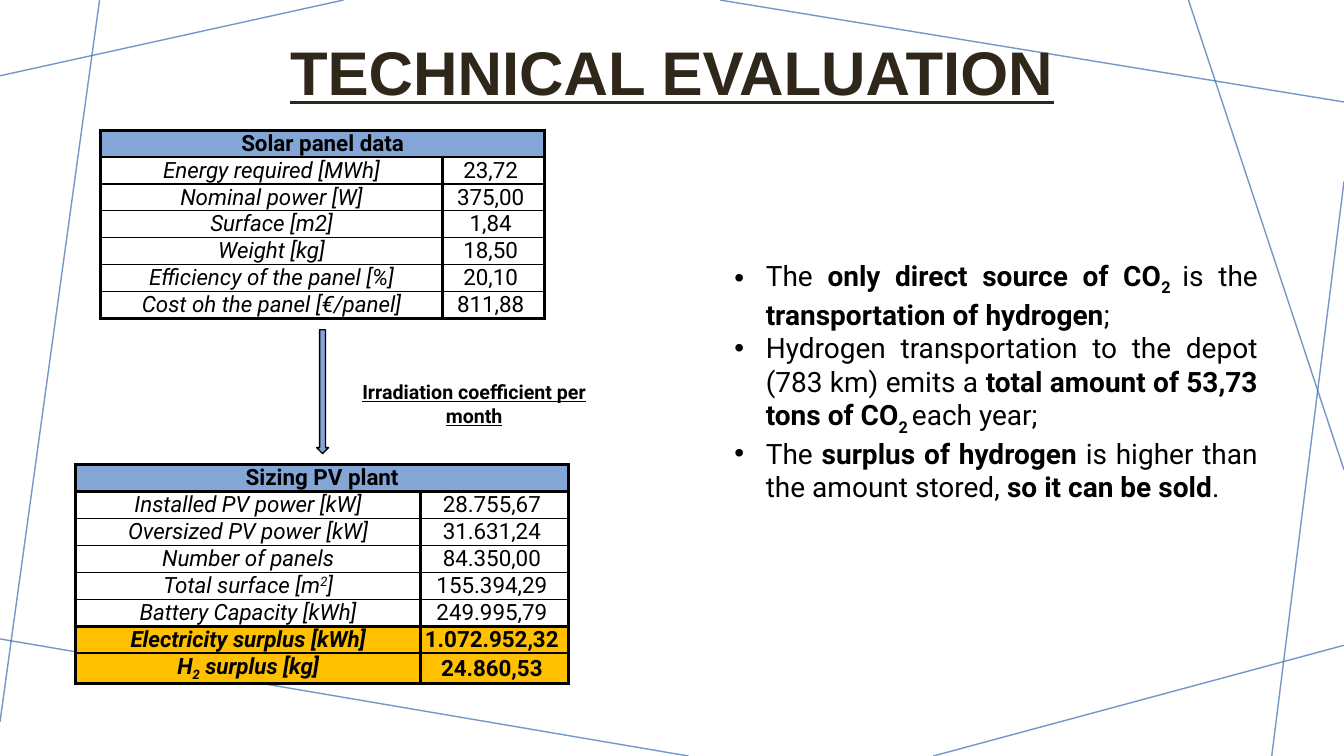
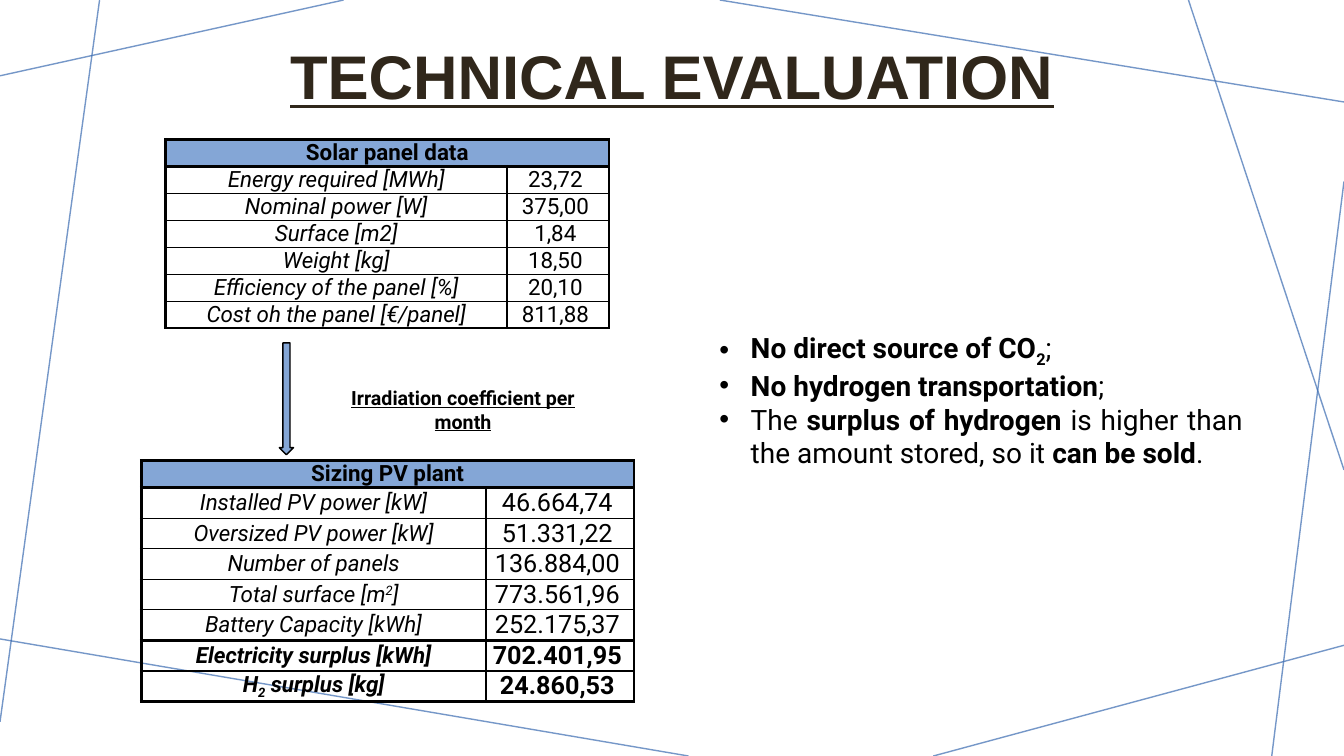
from dataclasses import dataclass

from lxml import etree
from pptx import Presentation
from pptx import util as u
from pptx.dml.color import RGBColor
from pptx.enum import shapes, text
from pptx.oxml import ns


@dataclass(frozen=True)
class Theme:
    ink = RGBColor.from_string("000000")
    title_ink = RGBColor.from_string("30271B")
    blue = RGBColor.from_string("84A6D6")
    amber = RGBColor.from_string("FFC000")
    network = RGBColor.from_string("3B6CB1")
    network_alpha = 70
    title_font = "Arial"
    body_font = "Roboto"
    title_size = 44
    bullet_size = 20
    caption_size = 14
    cell_size = 16
    large_cell_size = 18
    thin = 1
    thick = 2.25
    plain_table = "{2D5ABB26-0587-4C30-8999-92F81FD0307C}"


THEME = Theme()
SLIDE_WIDTH, SLIDE_HEIGHT = 33.87, 19.05
NETWORK_LINES = [
    (8.66, 0, 0, 1.91),
    (2.51, 0, 0, 18.19),
    (17.35, SLIDE_HEIGHT, 0, 16.1),
    (SLIDE_WIDTH, 16.26, 23.52, SLIDE_HEIGHT),
    (SLIDE_WIDTH, 4.57, 32.05, SLIDE_HEIGHT),
    (SLIDE_WIDTH, 11.84, 29.95, 0),
    (SLIDE_WIDTH, 2.57, 18.14, 0),
]
PANEL_ROWS = [
    ("Energy required [MWh]", "23,72"),
    ("Nominal power [W]", "375,00"),
    ("Surface [m2]", "1,84"),
    ("Weight [kg]", "18,50"),
    ("Efficiency of the panel [%]", "20,10"),
    ("Cost oh the panel [€/panel]", "811,88"),
]
PLANT_LABELS = [
    "Installed PV power [kW]", "Oversized PV power [kW]", "Number of panels",
    "Total surface [m^2^]", "Battery Capacity [kWh]",
    "Electricity surplus [kWh]", "H_2_ surplus [kg]",
]
SURPLUS_ROWS = 2
PANEL_COLUMNS = (8.61, 2.57)
PLANT_COLUMNS = (8.69, 3.73)
HEADER_HEIGHT = 0.66

SCENARIOS = [
    {
        "title_box": (3.18, 0.64, 27.51, 2.54),
        "panel_at": (2.54, 3.28),
        "panel_row": 0.66,
        "plant_at": (1.91, 11.71),
        "plant_row": 0.66,
        "plant_values": ["28.755,67", "31.631,24", "84.350,00", "155.394,29",
                         "249.995,79", "1.072.952,32", "24.860,53"],
        "value_size": THEME.cell_size,
        "surplus_fill": THEME.amber,
        "arrow_box": (7.98, 8.31, 0.3, 3.12),
        "caption_box": (8.28, 9.45, 7.34, 0.86),
        "findings_box": (18.26, 6.4, 13.69, 6.25),
        "findings": [
            "The *only direct source of CO_2 _*is the *transportation of hydrogen*;",
            "Hydrogen transportation to the depot (783 km) emits a "
            "*total amount of 53,73 tons of CO_2 _*each year;",
            "The *surplus of hydrogen *is higher than the amount stored, "
            "*so it can be sold*.",
        ],
    },
    {
        "title_box": (3.18, 0.91, 27.51, 2.21),
        "panel_at": (4.17, 3.51),
        "panel_row": 0.68,
        "plant_at": (3.56, 11.61),
        "plant_row": 0.77,
        "plant_values": ["46.664,74", "51.331,22", "136.884,00", "773.561,96",
                         "252.175,37", "702.401,95", "24.860,53"],
        "value_size": THEME.large_cell_size,
        "surplus_fill": None,
        "arrow_box": (7.04, 8.64, 0.36, 2.82),
        "caption_box": (8, 9.6, 7.34, 0.86),
        "findings_box": (17.88, 8.2, 13.69, 3.68),
        "findings": [
            "*No direct source of CO_2_*;",
            "*No hydrogen transportation*;",
            "The *surplus of hydrogen *is higher than the amount stored, so it "
            "*can be sold*.",
        ],
    },
]


def lengths(values):
    return [u.Cm(value) for value in values]


def apply_format(target, formats):
    for name, value in formats.items():
        setattr(target, name, value)


def font_format(size, **extra):
    return {"name": THEME.body_font, "size": u.Pt(size), **extra}


def split_markup(markup):
    """Yield (piece, bold, baseline): * marks bold, _ subscript, ^ superscript."""
    for i, weighted in enumerate(markup.split("*")):
        for j, lowered in enumerate(weighted.split("_")):
            for k, piece in enumerate(lowered.split("^")):
                if piece:
                    yield piece, i % 2 == 1, -25 if j % 2 else 30 if k % 2 else 0


def write(paragraph, markup, formats, align=text.PP_ALIGN.CENTER, color=THEME.ink):
    paragraph.alignment = align
    for piece, bold, baseline in split_markup(markup):
        run = paragraph.add_run()
        run.text = piece
        apply_format(run.font, {"bold": bold, **formats})
        run.font.color.rgb = color
        if baseline:
            run._r.get_or_add_rPr().set("baseline", str(baseline * 1000))


def add_text_frame(slide, box):
    frame = slide.shapes.add_textbox(*lengths(box)).text_frame
    frame.word_wrap = True
    return frame


def add_network(slide):
    for ends in NETWORK_LINES:
        connector = slide.shapes.add_connector(
            shapes.MSO_CONNECTOR.STRAIGHT, *lengths(ends))
        connector.line.color.rgb = THEME.network
        connector.line.width = u.Pt(THEME.thin)
        properties = connector.element.spPr
        tint = next(properties.iter(ns.qn("a:srgbClr")))
        etree.SubElement(tint, ns.qn("a:alpha"), val=str(THEME.network_alpha * 1000))
        etree.SubElement(properties, ns.qn("a:effectLst"))


def add_title(slide, box):
    frame = add_text_frame(slide, box)
    frame.vertical_anchor = text.MSO_ANCHOR.MIDDLE
    heading = frame.paragraphs[0]
    heading.line_spacing = 0.9
    formats = font_format(THEME.title_size, bold=True, underline=True)
    write(heading, "TECHNICAL EVALUATION", {**formats, "name": THEME.title_font},
          color=THEME.title_ink)


def add_findings(slide, box, findings):
    frame = add_text_frame(slide, box)
    for index, finding in enumerate(findings):
        paragraph = frame.add_paragraph() if index else frame.paragraphs[0]
        properties = paragraph._p.get_or_add_pPr()
        indent = u.Cm(0.79)
        properties.set("marL", str(indent))
        properties.set("indent", str(-indent))
        etree.SubElement(properties, ns.qn("a:buFont"), typeface="Arial")
        etree.SubElement(properties, ns.qn("a:buChar"), char="•")
        write(paragraph, finding, font_format(THEME.bullet_size),
              align=text.PP_ALIGN.JUSTIFY)


def add_irradiation_step(slide, arrow_box, caption_box):
    arrow = slide.shapes.add_shape(shapes.MSO_SHAPE.DOWN_ARROW, *lengths(arrow_box))
    arrow.shadow.inherit = False
    arrow.fill.solid()
    arrow.fill.fore_color.rgb = THEME.blue
    arrow.line.color.rgb = THEME.ink
    arrow.line.width = u.Pt(THEME.thin)
    caption = add_text_frame(slide, caption_box).paragraphs[0]
    write(caption, "Irradiation coefficient per month",
          font_format(THEME.caption_size, bold=True, underline=True))


def set_borders(cell, top, bottom):
    """Draw thick sides, with the given widths above and below."""
    properties = cell._tc.get_or_add_tcPr()
    widths = {"lnL": THEME.thick, "lnR": THEME.thick, "lnT": top, "lnB": bottom}
    for place, (tag, width) in enumerate(widths.items()):
        border = etree.Element(ns.qn(f"a:{tag}"), w=str(u.Pt(width)))
        fill = etree.SubElement(border, ns.qn("a:solidFill"))
        etree.SubElement(fill, ns.qn("a:srgbClr"), val=str(THEME.ink))
        properties.insert(place, border)


def format_cell(cell, fill, top, bottom):
    apply_format(cell, {
        "margin_left": 0, "margin_right": 0, "margin_top": 0, "margin_bottom": 0,
        "vertical_anchor": text.MSO_ANCHOR.MIDDLE,
    })
    if fill is None:
        cell.fill.background()
    else:
        cell.fill.solid()
        cell.fill.fore_color.rgb = fill
    set_borders(cell, top, bottom)


def add_data_table(slide, at, columns, heading, rows, row_height,
                   value_size=THEME.cell_size, surplus_rows=0, surplus_fill=None):
    """Add a headed table whose last surplus_rows form a bold group."""
    heights = [HEADER_HEIGHT] + [row_height] * len(rows)
    frame = slide.shapes.add_table(
        len(heights), len(columns), *lengths((*at, sum(columns), sum(heights))))
    next(frame.element.iter(ns.qn("a:tableStyleId"))).text = THEME.plain_table
    table = frame.table
    apply_format(table, {"first_row": False, "horz_banding": False})
    for column, width in zip(table.columns, columns):
        column.width = u.Cm(width)
    for row, height in zip(table.rows, heights):
        row.height = u.Cm(height)

    header = table.cell(0, 0)
    header.merge(table.cell(0, 1))
    for cell in table.rows[0].cells:
        format_cell(cell, THEME.blue, THEME.thick, THEME.thick)
    write(header.text_frame.paragraphs[0], heading,
          font_format(THEME.cell_size, bold=True))

    surplus_start = len(heights) - surplus_rows
    group_starts = {1, surplus_start, len(heights)}
    for number, entries in enumerate(rows, 1):
        in_surplus = number >= surplus_start
        top, bottom = (THEME.thick if edge in group_starts else THEME.thin
                       for edge in (number, number + 1))
        for column, entry in enumerate(entries):
            cell = table.cell(number, column)
            format_cell(cell, surplus_fill if in_surplus else None, top, bottom)
            is_label = column == 0
            if not is_label:
                cell.margin_right = u.Cm(0.14)
            size = THEME.cell_size if is_label else value_size
            write(cell.text_frame.paragraphs[0], entry,
                  font_format(size, bold=in_surplus, italic=is_label))


def add_scenario(deck, scenario):
    slide = deck.slides.add_slide(deck.slide_layouts[6])
    add_network(slide)
    add_title(slide, scenario["title_box"])
    add_data_table(slide, scenario["panel_at"], PANEL_COLUMNS, "Solar panel data",
                   PANEL_ROWS, scenario["panel_row"])
    add_data_table(slide, scenario["plant_at"], PLANT_COLUMNS, "Sizing PV plant",
                   list(zip(PLANT_LABELS, scenario["plant_values"])),
                   scenario["plant_row"], scenario["value_size"],
                   SURPLUS_ROWS, scenario["surplus_fill"])
    add_findings(slide, scenario["findings_box"], scenario["findings"])
    add_irradiation_step(slide, scenario["arrow_box"], scenario["caption_box"])


def main():
    deck = Presentation()
    deck.slide_width, deck.slide_height = lengths((SLIDE_WIDTH, SLIDE_HEIGHT))
    for scenario in SCENARIOS:
        add_scenario(deck, scenario)
    deck.save("out.pptx")


if __name__ == "__main__":
    main()
